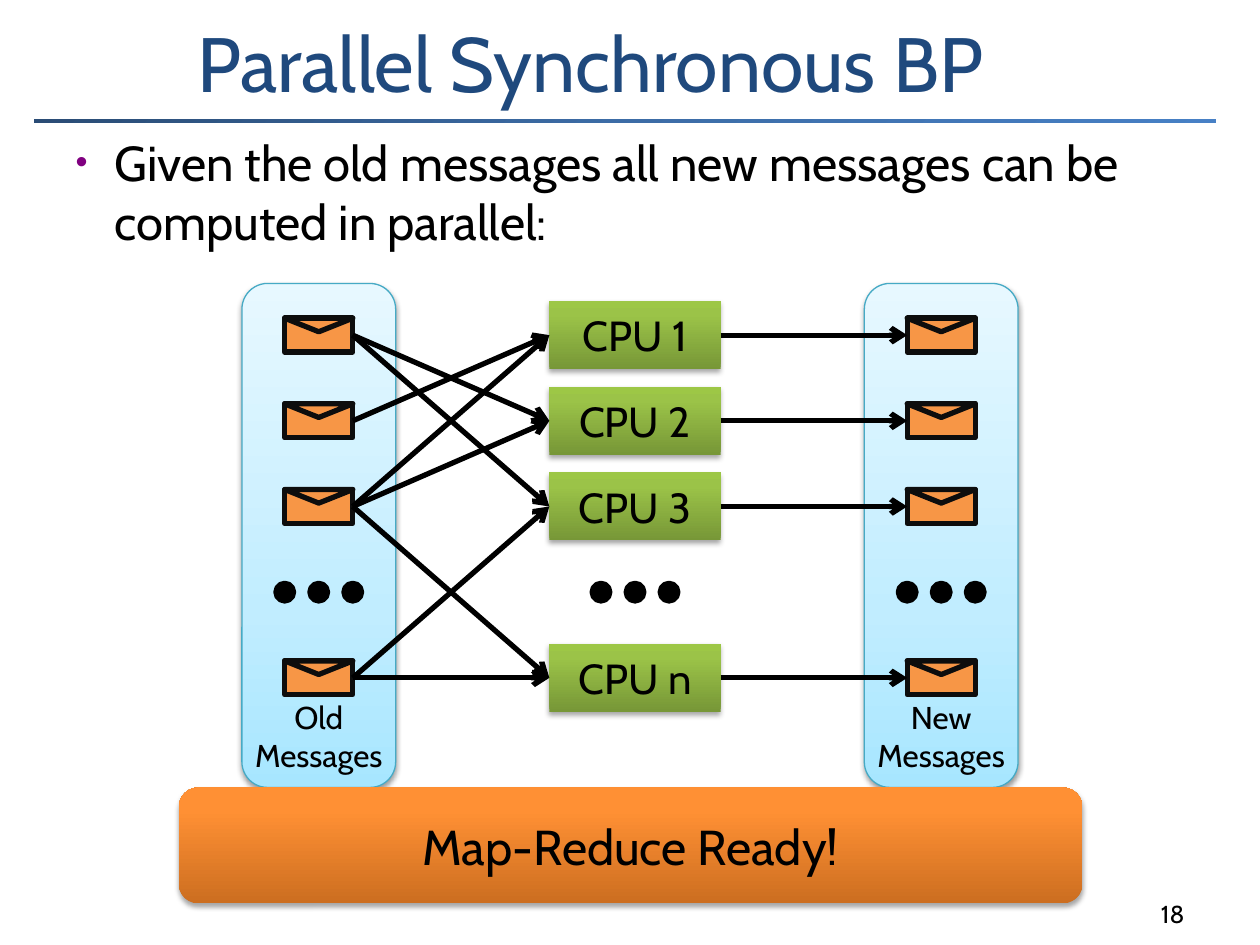
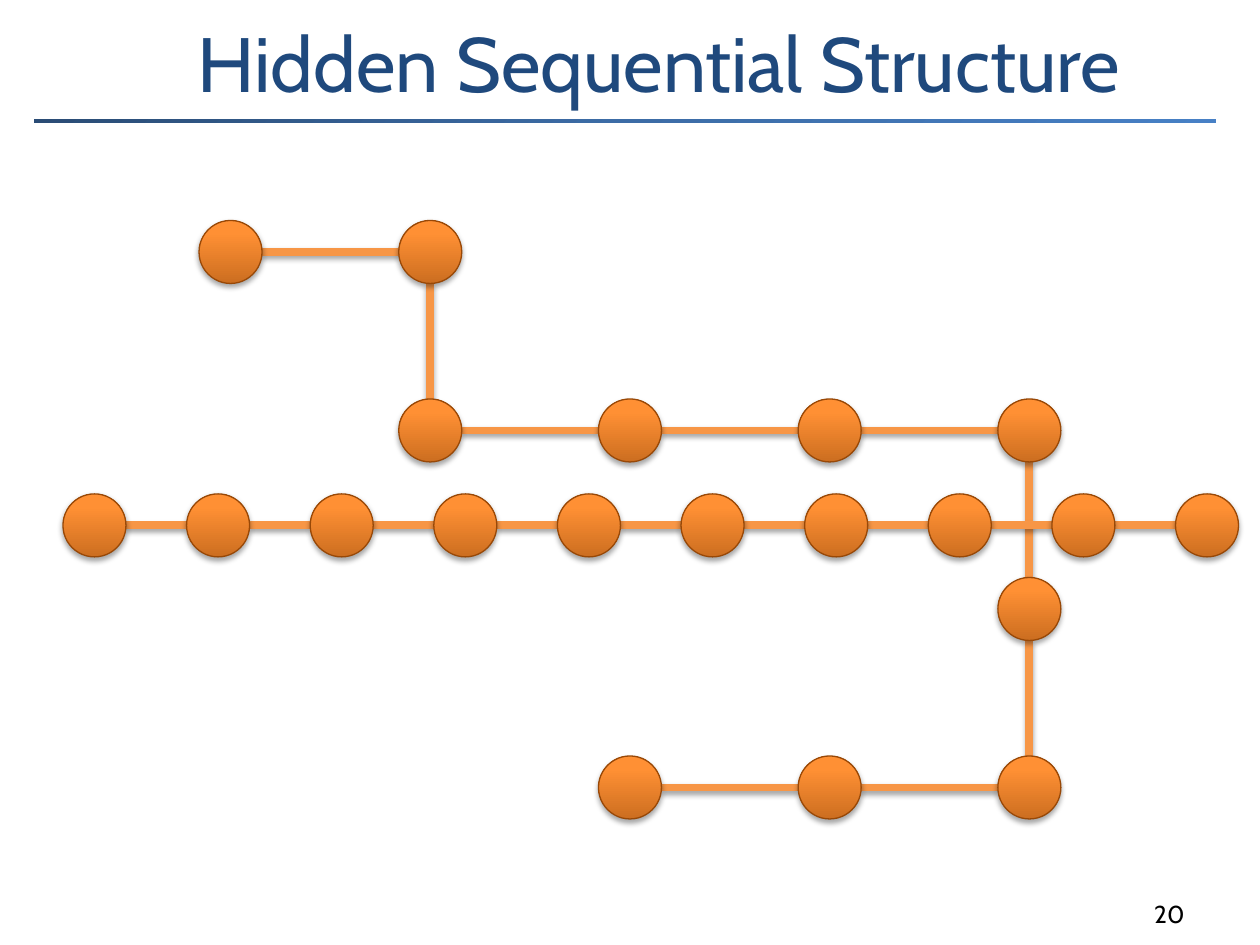
from copy import deepcopy

from lxml.etree import SubElement
from pptx import Presentation
from pptx.dml.color import RGBColor
from pptx.enum.shapes import MSO_CONNECTOR, MSO_SHAPE
from pptx.enum.text import MSO_ANCHOR, MSO_AUTO_SIZE, PP_ALIGN
from pptx.oxml.ns import qn
from pptx.util import Inches, Pt

# Shared look
FONT = "Cabin"
BLACK = RGBColor(0x00, 0x00, 0x00)
WHITE = RGBColor(0xFF, 0xFF, 0xFF)
NAVY = RGBColor(0x1F, 0x49, 0x7D)
PURPLE = RGBColor(0x80, 0x00, 0x80)
ORANGE = RGBColor(0xF7, 0x96, 0x46)
BROWN = RGBColor(0x98, 0x48, 0x07)
TEAL = RGBColor(0x46, 0xAA, 0xC5)
INK = RGBColor(0x0D, 0x0D, 0x0D)
BAR_FADE = ((0, RGBColor(0x2A, 0x4C, 0x75)), (0.5, RGBColor(0x3C, 0x6C, 0xA6)),
            (1, RGBColor(0x47, 0x80, 0xC5)))
SKY_FADE = ((0, RGBColor(0xA7, 0xE6, 0xFF)), (0.35, RGBColor(0xC1, 0xED, 0xFF)),
            (1, RGBColor(0xE7, 0xF8, 0xFF)))
LEAF_FADE = ((0, RGBColor(0x77, 0x97, 0x37)), (0.8, RGBColor(0x9B, 0xC3, 0x48)),
             (1, RGBColor(0x9D, 0xC7, 0x46)))
FIRE_FADE = ((0, RGBColor(0xCC, 0x6E, 0x20)), (0.8, RGBColor(0xFF, 0x90, 0x34)),
             (1, RGBColor(0xFF, 0x91, 0x36)))


def place(shape, box):
    shape.left, shape.top, shape.width, shape.height = map(Inches, box)


def fade(fill, stops, angle):
    """Fill with a three-stop gradient; the angle runs counter-clockwise."""
    fill.gradient()
    fill.gradient_angle = angle
    first = fill.gradient_stops[0]._gs
    first.addnext(deepcopy(first))
    for stop, (spot, color) in zip(fill.gradient_stops, stops):
        stop.position = spot
        stop.color.rgb = color


def shade(shape, alpha=0, dist=1.8):
    """Replace the theme shadow by a soft one, or by none; call after styling."""
    effects = SubElement(shape._element.spPr, qn("a:effectLst"))
    if alpha:
        outer = SubElement(effects, qn("a:outerShdw"), blurRad=str(Pt(3.1)),
                           dist=str(Pt(dist)), dir="5400000", rotWithShape="0")
        tint = SubElement(outer, qn("a:srgbClr"), val=str(BLACK))
        SubElement(tint, qn("a:alpha"), val=str(alpha * 1000))


def write(frame, lines, size, color=BLACK, align=PP_ALIGN.CENTER,
          anchor=MSO_ANCHOR.MIDDLE, wrap=False):
    frame.word_wrap = wrap
    frame.auto_size = MSO_AUTO_SIZE.NONE
    frame.vertical_anchor = anchor
    for i, line in enumerate(lines):
        para = frame.add_paragraph() if i else frame.paragraphs[0]
        para.alignment = align
        run = para.add_run()
        run.text = line
        run.font.name, run.font.size = FONT, Pt(size)
        run.font.color.rgb = color


def draw(slide, kind, box, fill, line=None, width=0.75, angle=90, alpha=0, dist=1.8):
    shape = slide.shapes.add_shape(kind, *map(Inches, box))
    if isinstance(fill, RGBColor):
        shape.fill.solid()
        shape.fill.fore_color.rgb = fill
    else:
        fade(shape.fill, fill, angle)
    if line is None:
        shape.line.fill.background()
    else:
        shape.line.color.rgb = line
        shape.line.width = Pt(width)
    shade(shape, alpha, dist)
    return shape


def link(slide, start, end, color, width, alpha=0):
    line = slide.shapes.add_connector(MSO_CONNECTOR.STRAIGHT,
                                      *map(Inches, (*start, *end)))
    line.line.color.rgb = color
    line.line.width = Pt(width)
    shade(line, alpha)
    return line


def arrow(slide, source, target):
    """Join the right side of one rectangle to the left side of another."""
    line = link(slide, (0, 0), (1, 1), BLACK, 3)
    line.begin_connect(source, 3)
    line.end_connect(target, 1)
    SubElement(line.line._get_or_add_ln(), qn("a:tailEnd"), type="arrow")


def base(deck, layout, title, number):
    """Start a slide with the rule, title and page number."""
    slide = deck.slides.add_slide(deck.slide_layouts[layout])
    draw(slide, MSO_SHAPE.RECTANGLE, (0.25, 0.92, 9.42, 0.08), BAR_FADE,
         WHITE, 3, angle=315)
    place(slide.shapes.title, (1.47, 0.08, 8.2, 0.83))
    write(slide.shapes.title.text_frame, [title], 44, NAVY, PP_ALIGN.LEFT,
          MSO_ANCHOR.BOTTOM, True)
    page = slide.shapes.add_textbox(*map(Inches, (7.42, 6.92, 2.08, 0.5)))
    write(page.text_frame, [number], 14, align=PP_ALIGN.RIGHT,
          anchor=MSO_ANCHOR.BOTTOM, wrap=True)
    return slide


def bullet(body, box, text):
    place(body, box)
    write(body.text_frame, [text], 28, align=PP_ALIGN.LEFT,
          anchor=MSO_ANCHOR.TOP, wrap=True)
    props = body.text_frame.paragraphs[0]._p.get_or_add_pPr()
    props.set("marL", str(Inches(0.31)))
    props.set("indent", str(-Inches(0.31)))
    tint = SubElement(props, qn("a:buClr"))
    SubElement(tint, qn("a:srgbClr"), val=str(PURPLE))
    SubElement(props, qn("a:buSzPct"), val="70000")
    SubElement(props, qn("a:buChar"), char="•")


# Message flow: five rows, the fourth of which holds dots
ROW_GAP = 0.68
ROWS = (0, 1, 2, 4)
DOT_ROW = 3


def dots(slide, mid, y):
    size, gap = 0.14, 0.27
    for i in (-1, 0, 1):
        draw(slide, MSO_SHAPE.OVAL, (mid + i * gap - size / 2, y - size / 2, size, size),
             BLACK, BLACK, 3)


def letter(slide, box):
    x, y, w, h = box
    sheet = draw(slide, MSO_SHAPE.RECTANGLE, box, ORANGE, INK, 3)
    flap = draw(slide, MSO_SHAPE.ISOSCELES_TRIANGLE, (x, y, w, 0.4 * h), ORANGE, INK, 3)
    flap.rotation = 180
    return sheet


def panel(slide, box, label):
    """Draw a column of messages and return its envelopes."""
    x, y, w, h = box
    back = draw(slide, MSO_SHAPE.ROUNDED_RECTANGLE, box, SKY_FADE, TEAL,
                alpha=38, dist=1.6)
    write(back.text_frame, [label, "Messages"], 18, anchor=MSO_ANCHOR.BOTTOM)
    dots(slide, x + w / 2, y + 0.41 + DOT_ROW * ROW_GAP)
    wide, high = 0.54, 0.27
    return [letter(slide, (x + (w - wide) / 2, y + 0.41 + row * ROW_GAP - high / 2,
                           wide, high)) for row in ROWS]


def workers(slide, box):
    """Draw the column of CPUs and return its boxes."""
    x, y, w, h = box
    cpus = []
    for row, name in zip(ROWS, "123n"):
        cpu = draw(slide, MSO_SHAPE.RECTANGLE, (x, y + 0.14 + row * ROW_GAP, w, 0.54),
                   LEAF_FADE, alpha=35)
        write(cpu.text_frame, [f"CPU {name}"], 24)
        cpus.append(cpu)
    dots(slide, x + w / 2, y + 0.41 + DOT_ROW * ROW_GAP)
    return cpus


def flow(slide, box):
    x, y, w, h = box
    new = panel(slide, (x + w - 1.22, y, 1.22, h), "New")
    old = panel(slide, (x, y, 1.22, h), "Old")
    cpus = workers(slide, (x + 2.44, y, 1.36, h))
    for cpu, message in zip(cpus, new):
        arrow(slide, cpu, message)
    for i, j in ((0, 1), (2, 1), (1, 0), (0, 2), (2, 3), (3, 3), (2, 0), (3, 2)):
        arrow(slide, old[i], cpus[j])


def banner(slide, box, text):
    shape = draw(slide, MSO_SHAPE.ROUNDED_RECTANGLE, box, FIRE_FADE, alpha=35)
    write(shape.text_frame, [text], 28)


# Chains of nodes
NODE = 0.5
BEND = ((0, 0), (1, 0), (1, 1), (2, 1), (3, 1), (4, 1), (4, 2), (4, 3), (3, 3), (2, 3))
LINE = tuple((i, 0) for i in range(10))


def chain(slide, box, cells):
    """Spread nodes over a grid that fills the box, and link them in turn."""
    x, y, w, h = box
    cols = max(c for c, r in cells)
    rows = max(r for c, r in cells) or 1
    spots = [(x + NODE / 2 + c * (w - NODE) / cols, y + NODE / 2 + r * (h - NODE) / rows)
             for c, r in cells]
    for (c1, r1), (c2, r2), (ax, ay), (bx, by) in zip(cells, cells[1:], spots, spots[1:]):
        dx, dy = (c2 - c1) * NODE / 2, (r2 - r1) * NODE / 2
        link(slide, (ax + dx, ay + dy), (bx - dx, by - dy), ORANGE, 4.5, 35)
    for cx, cy in spots:
        draw(slide, MSO_SHAPE.OVAL, (cx - NODE / 2, cy - NODE / 2, NODE, NODE),
             FIRE_FADE, BROWN, alpha=35)


def main():
    deck = Presentation()
    deck.slide_width, deck.slide_height = Inches(10), Inches(7.5)

    slide = base(deck, 1, "Parallel Synchronous BP", "18")
    bullet(slide.placeholders[1], (0.5, 1, 9.08, 1.25),
           "Given the old messages all new messages can be computed in parallel:")
    flow(slide, (1.92, 2.25, 6.16, 4))
    banner(slide, (1.42, 6.25, 7.17, 0.92), "Map-Reduce Ready!")

    slide = base(deck, 5, "Hidden Sequential Structure", "20")
    chain(slide, (1.58, 1.75, 6.84, 4.75), BEND)
    chain(slide, (0.5, 3.92, 9.33, NODE), LINE)

    deck.save("out.pptx")


if __name__ == "__main__":
    main()
